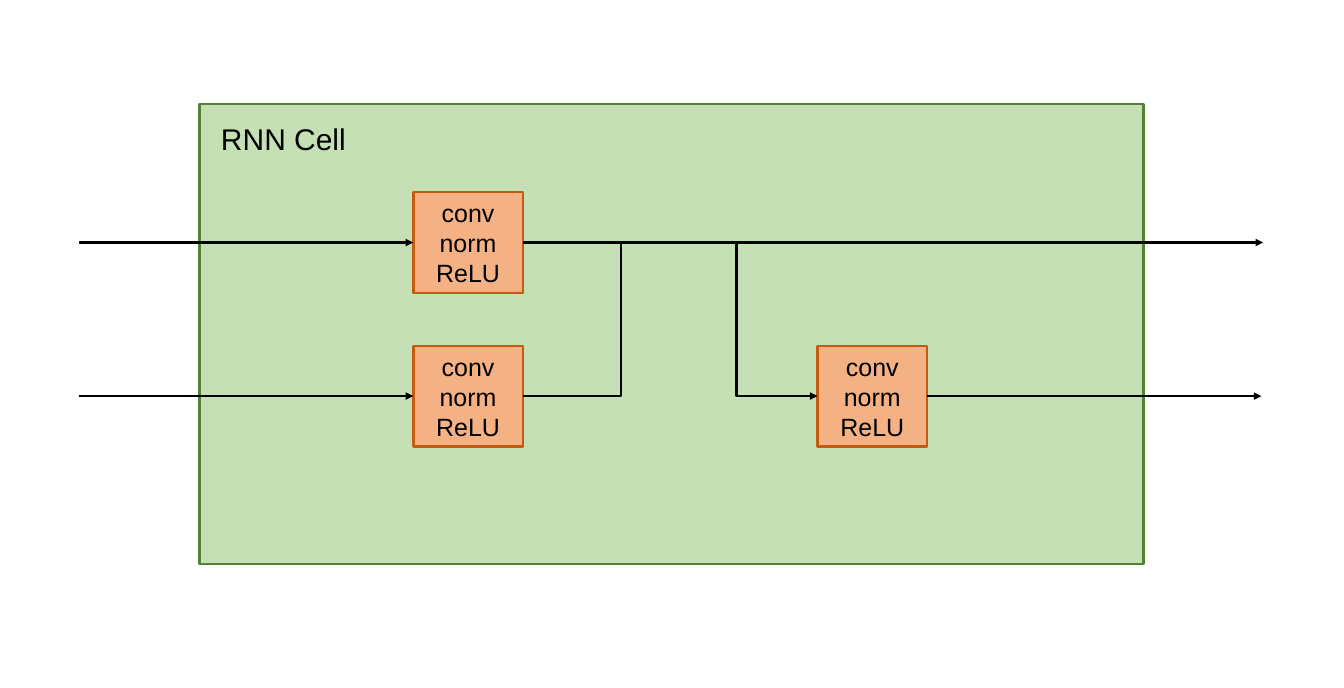
from dataclasses import dataclass

import pptx
import pptx.dml.color
import pptx.enum.shapes
import pptx.enum.text
import pptx.oxml
import pptx.oxml.ns
import pptx.util
from pptx.util import Inches

LEFT, RIGHT = 1, 3  # connection sites of a rectangle
CONNECTOR = pptx.enum.shapes.MSO_CONNECTOR
ANCHOR = pptx.enum.text.MSO_ANCHOR
ALIGN = pptx.enum.text.PP_ALIGN


@dataclass(frozen=True)
class Theme:
    font: str = "Arial"
    title_size: int = 24
    block_size: int = 20
    line_width: int = 2
    ink: str = "000000"
    cell_fill: str = "C5E0B4"
    cell_line: str = "548235"
    block_fill: str = "F4B183"
    block_line: str = "C55A11"


def rgb(color):
    return pptx.dml.color.RGBColor.from_string(color)


class Diagram:
    def __init__(self, page, theme):
        self.page = page
        self.theme = theme

    def stroke(self, shape, color):
        shape.line.color.rgb = rgb(color)
        shape.line.width = pptx.util.Pt(self.theme.line_width)

    def set_text(self, frame, text, size, align, anchor):
        frame.text = text
        frame.word_wrap = True
        frame.auto_size = pptx.enum.text.MSO_AUTO_SIZE.NONE
        frame.vertical_anchor = anchor
        for para in frame.paragraphs:
            para.alignment = align
            for span in para.runs:
                span.font.name = self.theme.font
                span.font.size = pptx.util.Pt(size)
                span.font.color.rgb = rgb(self.theme.ink)

    def rectangle(self, left, top, width, height, fill, line):
        shape = self.page.shapes.add_shape(
            pptx.enum.shapes.MSO_SHAPE.RECTANGLE,
            Inches(left), Inches(top), Inches(width), Inches(height))
        shape.shadow.inherit = False
        shape.fill.solid()
        shape.fill.fore_color.rgb = rgb(fill)
        self.stroke(shape, line)
        return shape

    def cell(self, left, top, width, height):
        """Draw the cell behind the title."""
        shape = self.rectangle(left, top, width, height,
                               self.theme.cell_fill, self.theme.cell_line)
        self.page.shapes.title.element.addprevious(shape.element)

    def title(self, text, left, top, width, height):
        title = self.page.shapes.title
        title.left, title.top = Inches(left), Inches(top)
        title.width, title.height = Inches(width), Inches(height)
        self.set_text(title.text_frame, text, self.theme.title_size,
                      ALIGN.LEFT, ANCHOR.TOP)

    def block(self, left, middle, width=1.22, height=1.12):
        shape = self.rectangle(left, middle - height / 2, width, height,
                               self.theme.block_fill, self.theme.block_line)
        self.set_text(shape.text_frame, "conv\nnorm\nReLU",
                      self.theme.block_size, ALIGN.CENTER, ANCHOR.MIDDLE)
        return shape

    def link(self, block, side, x, y, arrow=None, bend=None):
        """Join a block's side to the point (x, y).

        arrow is headEnd (at the block), tailEnd (at the point) or None;
        bend names the preset of an elbow connector.
        """
        kind = CONNECTOR.ELBOW if bend else CONNECTOR.STRAIGHT
        start_x = block.left + (block.width if side == RIGHT else 0)
        start_y = block.top + block.height // 2
        line = self.page.shapes.add_connector(
            kind, start_x, start_y, Inches(x), Inches(y))
        line.begin_connect(block, side)
        self.stroke(line, self.theme.ink)
        properties = line.element.spPr
        namespace = pptx.oxml.ns.nsdecls("a")
        if bend:
            properties.find(pptx.oxml.ns.qn("a:prstGeom")).set("prst", bend)
        if arrow:
            properties.find(pptx.oxml.ns.qn("a:ln")).append(
                pptx.oxml.parse_xml(f'<a:{arrow} {namespace} type="triangle"/>'))
        properties.append(pptx.oxml.parse_xml(f"<a:effectLst {namespace}/>"))


def main():
    deck = pptx.Presentation()
    deck.slide_width, deck.slide_height = Inches(14.96), Inches(7.66)
    page = deck.slides.add_slide(deck.slide_layouts.get_by_name("Title Only"))
    diagram = Diagram(page, Theme())

    upper, lower = 2.7, 4.41
    input_x, first_x, second_x = 0.88, 4.6, 9.1

    diagram.title("RNN Cell", 2.36, 1.29, 2.74, 0.5)
    diagram.cell(2.22, 1.16, 10.51, 5.12)

    upper_block = diagram.block(first_x, upper)
    lower_block = diagram.block(first_x, lower)
    output_block = diagram.block(second_x, lower)

    for block, y in ((upper_block, upper), (lower_block, lower)):
        diagram.link(block, LEFT, input_x, y, arrow="headEnd")
    diagram.link(upper_block, RIGHT, 14.06, upper, arrow="tailEnd")
    diagram.link(output_block, RIGHT, 14.04, lower, arrow="tailEnd")
    diagram.link(lower_block, RIGHT, 8, upper, bend="bentConnector3")
    diagram.link(output_block, LEFT, 8.2, upper, arrow="headEnd",
                 bend="bentConnector2")

    deck.save("out.pptx")


if __name__ == "__main__":
    main()
